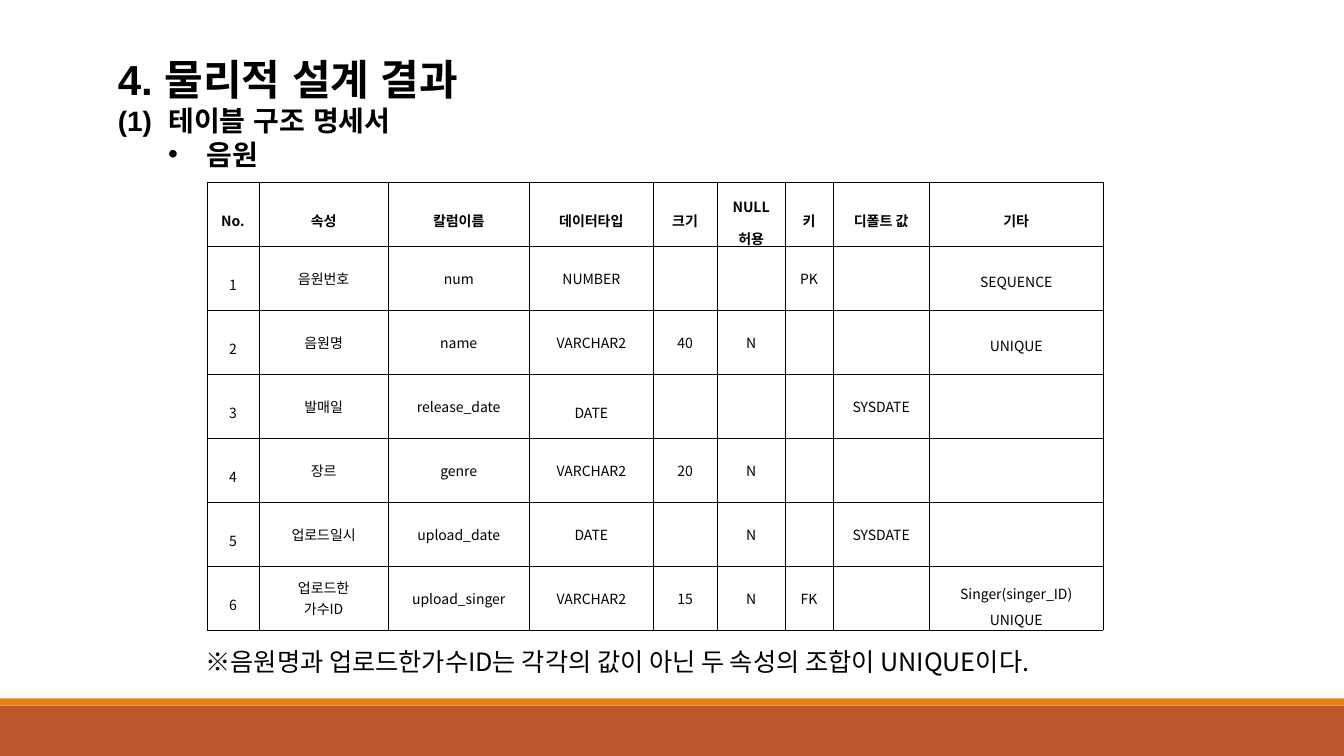
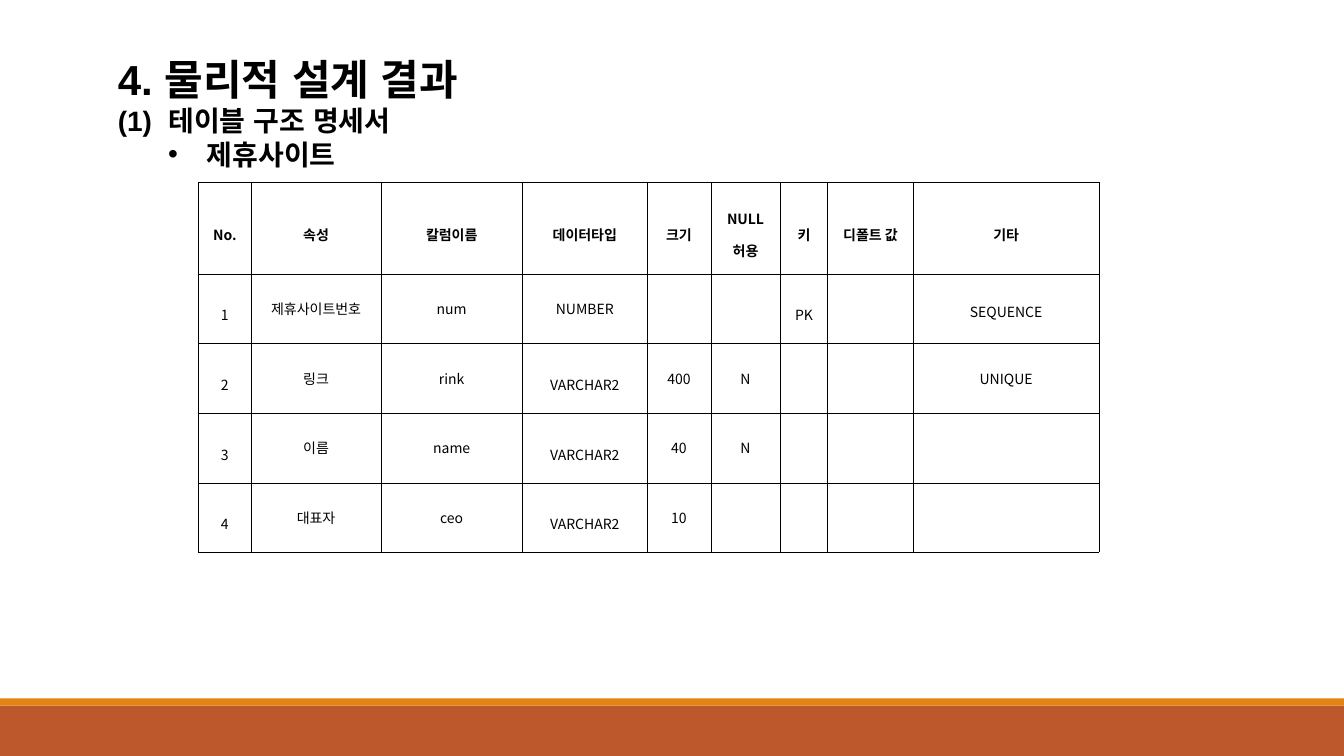
from collections import namedtuple

from lxml.etree import SubElement
from pptx import Presentation
from pptx.dml.color import RGBColor
from pptx.enum.shapes import MSO_SHAPE
from pptx.enum.text import MSO_ANCHOR, MSO_AUTO_SIZE, PP_ALIGN
from pptx.oxml import parse_xml
from pptx.oxml.ns import nsdecls, qn
from pptx.util import Inches, Pt

COLORS = {"text": "000000", "band": "BD582C", "stripe": "E48312"}
TITLE_FONT = "Arial"
BODY_FONT = "Noto Sans CJK KR"
BORDER_WIDTH = Pt(0.28)

Line = namedtuple("Line", "text spacing hanging", defaults=(1.0, 0))
TableSpec = namedtuple("TableSpec", "left top column_widths row_heights rows")

HEADERS = ["No.", "속성", "칼럼이름", "데이터타입", "크기", "NULL 허용", "키", "디폴트 값", "기타"]


def loose(text):
    return Line(text, 1.6)


def remark(text):
    return Line(text, 1.3, 0.18)


SOUND_TABLE = TableSpec(
    2.05, 1.81,
    [0.52, 1.28, 1.4, 1.23, 0.63, 0.68, 0.47, 0.96, 1.72],
    [4.44 / 7] * 7,
    [
        ["음원번호", "num", "NUMBER", "", "", "PK", "", remark("SEQUENCE")],
        ["음원명", "name", "VARCHAR2", "40", "N", "", "", remark("UNIQUE")],
        ["발매일", "release_date", loose("DATE"), "", "", "", "SYSDATE", ""],
        ["장르", "genre", "VARCHAR2", "20", "N", "", "", ""],
        ["업로드일시", "upload_date", "DATE", "", "N", "", "SYSDATE", ""],
        [["업로드한", "가수ID"], "upload_singer", "VARCHAR2", "15", "N", "FK", "",
         [loose("Singer(singer_ID)"), remark("UNIQUE")]],
    ],
)

PARTNER_TABLE = TableSpec(
    1.97, 1.81,
    [0.52, 1.29, 1.4, 1.24, 0.63, 0.69, 0.47, 0.85, 1.84],
    [0.91] + [0.69] * 4,
    [
        ["제휴사이트번호", "num", "NUMBER", "", "", loose("PK"), "", remark("SEQUENCE")],
        ["링크", "rink", loose("VARCHAR2"), "400", "N", "", "", "UNIQUE"],
        ["이름", "name", loose("VARCHAR2"), "40", "N", "", "", ""],
        ["대표자", "ceo", loose("VARCHAR2"), "10", "", "", "", ""],
    ],
)


def color(name):
    return RGBColor.from_string(COLORS[name])


def format_runs(paragraph, size, font_name, bold=False):
    for run in paragraph.runs:
        run.font.size = Pt(size)
        run.font.name = font_name
        run.font.bold = bold
        run.font.color.rgb = color("text")
        east_asian = SubElement(run.font._element, qn("a:ea"))
        east_asian.set("typeface", font_name)


def set_indent(paragraph, margin, first_line):
    properties = paragraph._p.get_or_add_pPr()
    properties.set("marL", str(Inches(margin)))
    properties.set("indent", str(Inches(first_line)))
    return properties


def add_band(slide, top, height, color_name):
    band = slide.shapes.add_shape(
        MSO_SHAPE.RECTANGLE, 0, Inches(top), Inches(13.33), Inches(height))
    band.shadow.inherit = False
    band.fill.solid()
    band.fill.fore_color.rgb = color(color_name)
    band.line.fill.background()


def add_text_box(slide, left, top, width, height):
    text_box = slide.shapes.add_textbox(
        Inches(left), Inches(top), Inches(width), Inches(height))
    text_frame = text_box.text_frame
    text_frame.word_wrap = True
    text_frame.auto_size = MSO_AUTO_SIZE.SHAPE_TO_FIT_TEXT
    return text_frame


def add_heading(slide, topic):
    text_frame = add_text_box(slide, 1.07, 0.48, 4.84, 1.28)
    text_frame.text = f"4. 물리적 설계 결과\n(1)\n{topic}"
    title, section, bullet = text_frame.paragraphs
    section.text = "테이블 구조 명세서"
    numbering = SubElement(set_indent(section, 0.5, -0.5), qn("a:buAutoNum"))
    numbering.set("type", "arabicParenBoth")
    bullet.level = 1
    bullet_properties = set_indent(bullet, 0.88, -0.38)
    SubElement(bullet_properties, qn("a:buFont")).set("typeface", "Arial")
    SubElement(bullet_properties, qn("a:buChar")).set("char", "•")
    for paragraph, size in ((title, 30), (section, 20), (bullet, 20)):
        format_runs(paragraph, size, TITLE_FONT, bold=True)


def add_borders(cell):
    properties = cell._tc.get_or_add_tcPr()
    for index, side in enumerate(("lnL", "lnR", "lnT", "lnB")):
        properties.insert(index, parse_xml(
            f'<a:{side} {nsdecls("a")} w="{BORDER_WIDTH}"><a:solidFill>'
            f'<a:srgbClr val="{COLORS["text"]}"/></a:solidFill></a:{side}>'))


def fill_cell(cell, content, bold=False, tight=False):
    cell.fill.background()
    add_borders(cell)
    cell.vertical_anchor = MSO_ANCHOR.MIDDLE
    if tight:
        cell.margin_left = cell.margin_right = Inches(0.07)
        cell.margin_top = cell.margin_bottom = Inches(0.02)
    if not content:
        return
    entries = content if type(content) is list else [content]
    lines = [Line(entry) if isinstance(entry, str) else entry for entry in entries]
    cell.text_frame.text = "\n".join(line.text for line in lines)
    for paragraph, line in zip(cell.text_frame.paragraphs, lines):
        paragraph.alignment = PP_ALIGN.CENTER
        paragraph.line_spacing = line.spacing
        if line.hanging:
            set_indent(paragraph, line.hanging, -line.hanging)
        format_runs(paragraph, 10, BODY_FONT, bold)


def add_structure_table(slide, spec):
    table = slide.shapes.add_table(
        len(spec.row_heights), len(HEADERS), Inches(spec.left), Inches(spec.top),
        Inches(sum(spec.column_widths)), Inches(sum(spec.row_heights))).table
    table.first_row = False
    table.horz_banding = False
    for column, width in zip(table.columns, spec.column_widths):
        column.width = Inches(width)
    for row, height in zip(table.rows, spec.row_heights):
        row.height = Inches(height)
    for column_index, header in enumerate(HEADERS):
        fill_cell(table.cell(0, column_index), loose(header), bold=True, tight=True)
    for number, contents in enumerate(spec.rows, start=1):
        fill_cell(table.cell(number, 0), loose(str(number)), tight=True)
        for column_index, content in enumerate(contents, start=1):
            fill_cell(table.cell(number, column_index), content)


def add_note(slide, text):
    text_frame = add_text_box(slide, 1.73, 6.18, 10.09, 0.59)
    text_frame.text = text
    paragraph = text_frame.paragraphs[0]
    paragraph.alignment = PP_ALIGN.JUSTIFY
    paragraph.line_spacing = 1.6
    set_indent(paragraph, 0.21, 0)
    format_runs(paragraph, 18, BODY_FONT)


def add_table_slide(presentation, topic, spec):
    slide = presentation.slides.add_slide(presentation.slide_layouts[6])
    add_band(slide, 7, 0.5, "band")
    add_band(slide, 6.93, 0.07, "stripe")
    add_heading(slide, topic)
    add_structure_table(slide, spec)
    return slide


def main():
    presentation = Presentation()
    presentation.slide_width = Inches(13.33)
    presentation.slide_height = Inches(7.5)
    sound_slide = add_table_slide(presentation, "음원", SOUND_TABLE)
    add_note(sound_slide, "※음원명과 업로드한가수ID는 각각의 값이 아닌 두 속성의 조합이 UNIQUE이다.")
    add_table_slide(presentation, "제휴사이트", PARTNER_TABLE)
    presentation.save("out.pptx")


if __name__ == "__main__":
    main()
